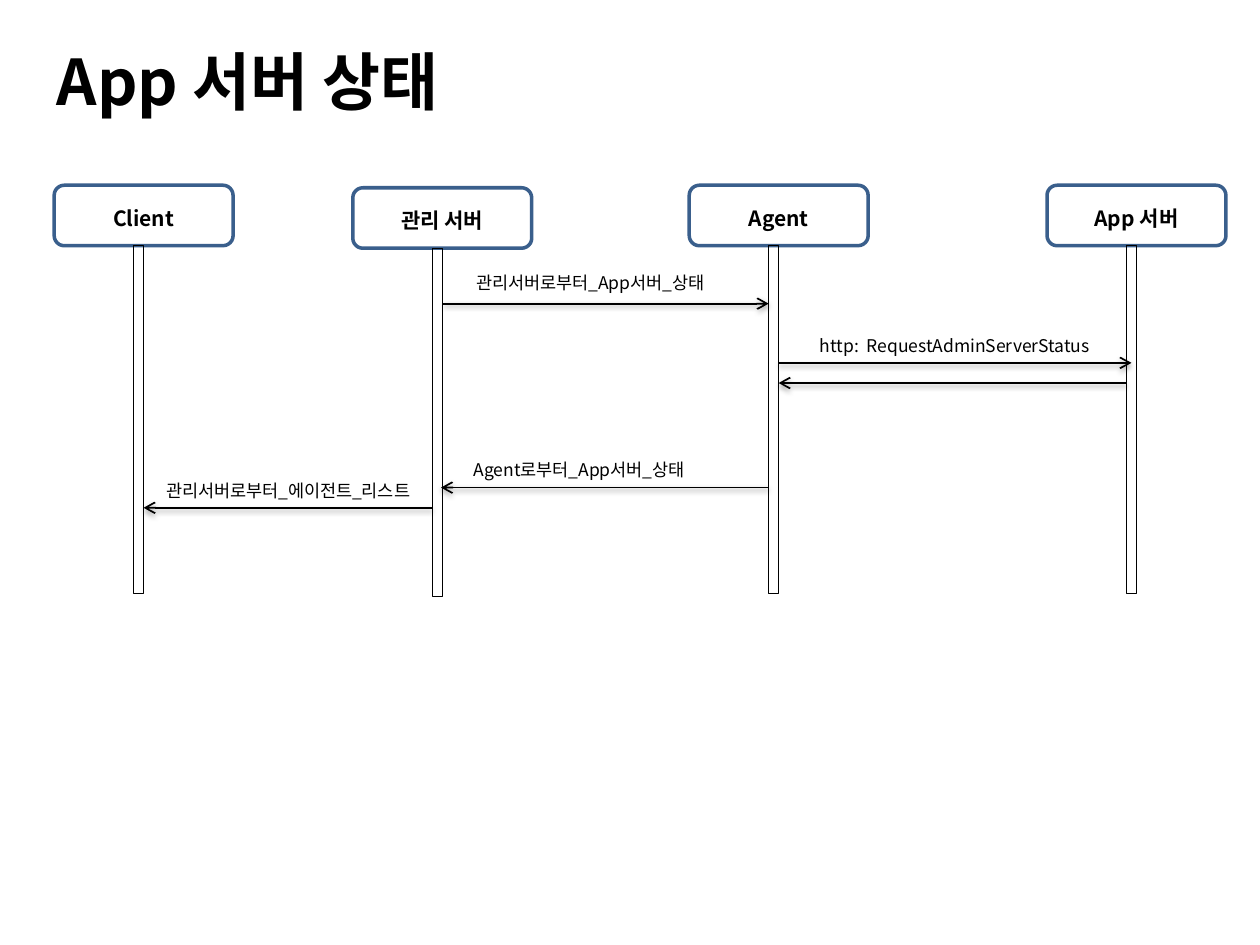
from lxml import etree
from pptx import Presentation
from pptx.dml.color import RGBColor
from pptx.enum.shapes import MSO_CONNECTOR, MSO_SHAPE
from pptx.enum.text import MSO_ANCHOR, MSO_AUTO_SIZE, PP_ALIGN
from pptx.oxml import parse_xml
from pptx.oxml.ns import nsdecls, qn
from pptx.util import Inches, Pt

LEFT, CENTER = PP_ALIGN.LEFT, PP_ALIGN.CENTER
TOP = MSO_ANCHOR.TOP
GROW = MSO_AUTO_SIZE.SHAPE_TO_FIT_TEXT
RECTANGLE, ROUNDED = MSO_SHAPE.RECTANGLE, MSO_SHAPE.ROUNDED_RECTANGLE
STRAIGHT = MSO_CONNECTOR.STRAIGHT
FONT = "Noto Sans CJK KR"
BLACK, BLUE = "000000", "3A5F8C"
SHADOW = (
    f'<a:effectLst {nsdecls("a")}><a:outerShdw blurRad="39370" dist="20320" dir="5400000" rotWithShape="0">'
    f'<a:srgbClr val="{BLACK}"><a:alpha val="38000"/></a:srgbClr></a:outerShdw></a:effectLst>'
)


def color(value):
    return RGBColor.from_string(value)


def write(box, text, size, bold, alignment):
    frame = box.text_frame
    for name, value in {"word_wrap": True, "auto_size": GROW, "vertical_anchor": TOP}.items():
        setattr(frame, name, value)
    para = frame.paragraphs[0]
    para.alignment = alignment
    span = para.add_run()
    span.text = text
    for name, value in {"name": FONT, "size": Pt(size), "bold": bold}.items():
        setattr(span.font, name, value)
    span.font.color.rgb = color(BLACK)
    etree.SubElement(span.font._element, qn("a:ea")).set("typeface", FONT)


deck = Presentation()
deck.slide_width, deck.slide_height = Inches(10), Inches(7.5)
page = deck.slides.add_slide(deck.slide_layouts[5])

title = page.shapes.title
title_place = {"left": 0.35, "top": 0.29, "width": 6.46, "height": 0.71}
for name, value in title_place.items():
    setattr(title, name, Inches(value))
write(title, "App 서버 상태", 36, True, LEFT)

head_width, head_height = 1.42, 0.48
bar_width, bar_height = 0.08, 2.76
participants = [
    ("Client", 0.43, 1.47),
    ("관리 서버", 2.8, 1.49),
    ("Agent", 5.47, 1.47),
    ("App 서버", 8.31, 1.47),
]
for name, left, top in participants:
    group = page.shapes.add_group_shape()
    head = group.shapes.add_shape(
        ROUNDED, Inches(left), Inches(top), Inches(head_width), Inches(head_height))
    bar = page.shapes.add_shape(
        RECTANGLE, Inches(left + 0.63), Inches(top + head_height), Inches(bar_width), Inches(bar_height))
    for shape, line_color, weight in [(head, BLUE, 2), (bar, BLACK, 0.25)]:
        shape.shadow.inherit = False
        shape.fill.background()
        shape.line.color.rgb = color(line_color)
        shape.line.width = Pt(weight)
    label = group.shapes.add_textbox(
        Inches(left), Inches(top + 0.11), Inches(head_width), Inches(0.3))
    write(label, name, 12, True, CENTER)

arrows = [
    (3.52, 6.1, 2.41),
    (6.18, 8.98, 2.88),
    (8.94, 6.18, 3.04),
    (6.1, 3.5, 3.87),
    (3.43, 1.14, 4.03),
]
for start, end, height in arrows:
    arrow = page.shapes.add_connector(
        STRAIGHT, Inches(start), Inches(height), Inches(end), Inches(height))
    arrow.line.color.rgb = color(BLACK)
    arrow.line.width = Pt(1)
    etree.SubElement(arrow.line._get_or_add_ln(), qn("a:tailEnd")).set("type", "arrow")
    arrow._element.spPr.append(parse_xml(SHADOW))

messages = [
    ("관리서버로부터_App서버_상태", 3.68, 2.11, 2.5),
    ("http:  RequestAdminServerStatus", 6.41, 2.61, 2.44),
    ("Agent로부터_App서버_상태", 3.66, 3.59, 2.21),
    ("관리서버로부터_에이전트_리스트", 1.22, 3.76, 2.3),
]
for text, left, top, width in messages:
    message = page.shapes.add_textbox(Inches(left), Inches(top), Inches(width), Inches(0.27))
    write(message, text, 10, False, LEFT)

deck.save("out.pptx")
